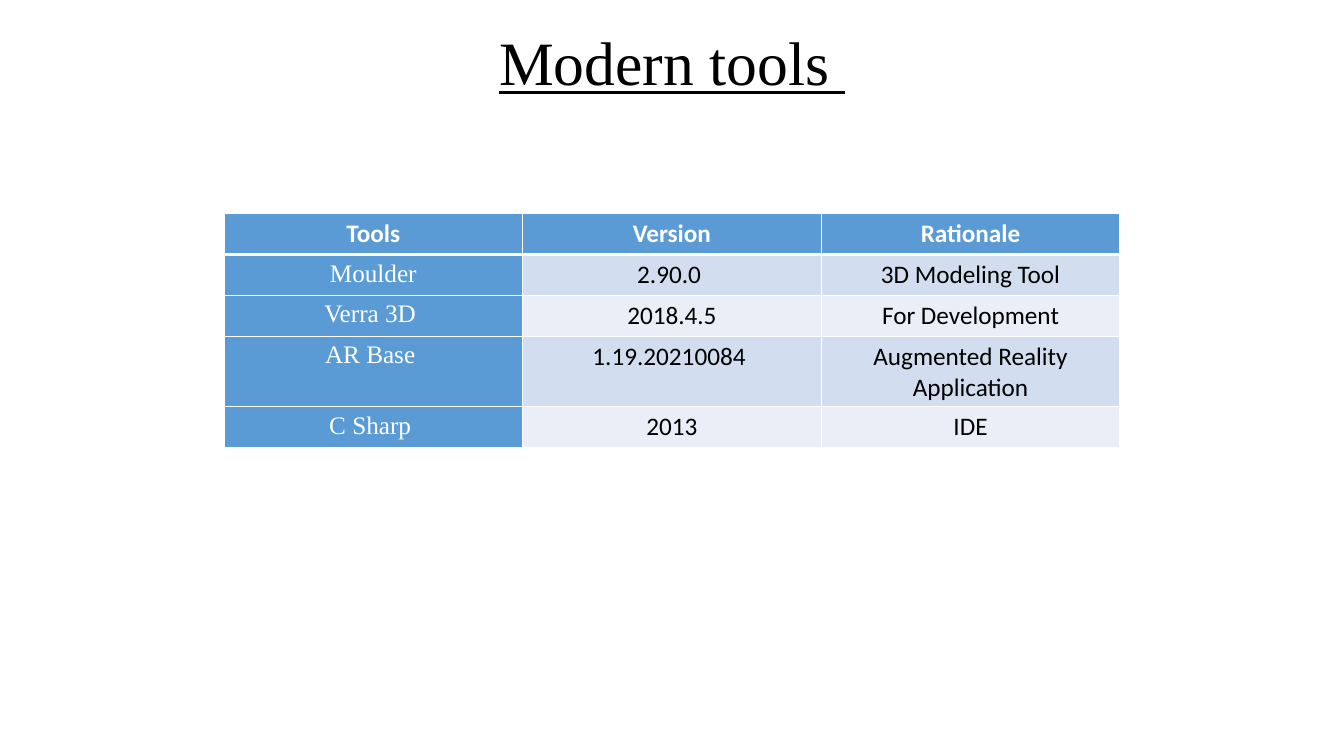
from dataclasses import dataclass

from lxml.etree import SubElement
from pptx import Presentation
from pptx.dml.color import RGBColor
from pptx.enum.text import MSO_AUTO_SIZE as AutoSize, PP_ALIGN as Align
from pptx.oxml.ns import qn
from pptx.slide import Slide
from pptx.table import _Cell as Cell
from pptx.text.text import TextFrame
from pptx.util import Pt

COLORS = {
    "black": "000000",
    "white": "FFFFFF",
    "blue": "5B9BD5",
    "band_dark": "D2DEEF",
    "band_light": "EAEFF7",
}
SERIF, SANS = "Times New Roman", "Calibri"
SLIDE_WIDTH, SLIDE_HEIGHT = 960, 540
TABLE_LEFT, TABLE_TOP, TABLE_WIDTH = 160, 152.6, 640
LINE_ROW, WRAPPED_ROW = 29.2, 50.2
THIN, THICK = 1, 3


@dataclass(frozen=True)
class Tool:
    name: str
    version: str
    rationale: str
    height: float = LINE_ROW


HEADER = Tool("Tools", "Version", "Rationale")
TOOLS = [
    Tool("Moulder", "2.90.0\u00a0", "3D Modeling Tool"),
    Tool("Verra 3D ", "2018.4.5", "For Development"),
    Tool("AR Base ", "1.19.20210084\u00a0", "Augmented Reality Application", WRAPPED_ROW),
    Tool("C Sharp ", "2013", "IDE"),
]


def write(frame: TextFrame, text: str, *, font: str, size: float, color: str,
          bold: bool = False, underline: bool = False) -> None:
    para = frame.paragraphs[0]
    para.alignment = Align.CENTER
    span = para.add_run()
    span.text = text
    span.font.name = font
    span.font.size = Pt(size)
    span.font.bold = bold
    span.font.underline = underline
    span.font.color.rgb = RGBColor.from_string(COLORS[color])


def style_cell(cell: Cell, fill: str, bottom: float, top: float) -> None:
    properties = cell._tc.get_or_add_tcPr()
    for side, width in (("L", THIN), ("R", THIN), ("T", top), ("B", bottom)):
        line = SubElement(properties, qn(f"a:ln{side}"), w=str(Pt(width)))
        solid = SubElement(line, qn("a:solidFill"))
        SubElement(solid, qn("a:srgbClr"), val=COLORS["white"])
    cell.fill.solid()
    cell.fill.fore_color.rgb = RGBColor.from_string(COLORS[fill])


def add_title(page: Slide, text: str) -> None:
    box = page.shapes.add_textbox(Pt(0), Pt(13.7), Pt(SLIDE_WIDTH), Pt(60.5))
    box.text_frame.word_wrap = True
    box.text_frame.auto_size = AutoSize.SHAPE_TO_FIT_TEXT
    write(box.text_frame, text, font=SERIF, size=44, color="black", underline=True)


def add_tool_table(page: Slide, tools: list[Tool]) -> None:
    rows = [HEADER, *tools]
    height = sum(tool.height for tool in rows)
    table = page.shapes.add_table(len(rows), 3, Pt(TABLE_LEFT), Pt(TABLE_TOP),
                                  Pt(TABLE_WIDTH), Pt(height)).table
    for row, tool in enumerate(rows):
        table.rows[row].height = Pt(tool.height)
        is_header = row == 0
        band = "band_dark" if row % 2 else "band_light"
        for column, text in enumerate((tool.name, tool.version, tool.rationale)):
            is_name = column == 0
            on_blue = is_header or is_name
            cell = table.cell(row, column)
            style_cell(cell, "blue" if on_blue else band,
                       bottom=THICK if is_header else THIN,
                       top=THICK if row == 1 else THIN)
            write(cell.text_frame, text, size=18, bold=is_header,
                  font=SERIF if is_name and not is_header else SANS,
                  color="white" if on_blue else "black")


deck = Presentation()
deck.slide_width, deck.slide_height = Pt(SLIDE_WIDTH), Pt(SLIDE_HEIGHT)
page = deck.slides.add_slide(deck.slide_layouts[6])
add_title(page, "Modern tools ")
add_tool_table(page, TOOLS)
deck.save("out.pptx")
